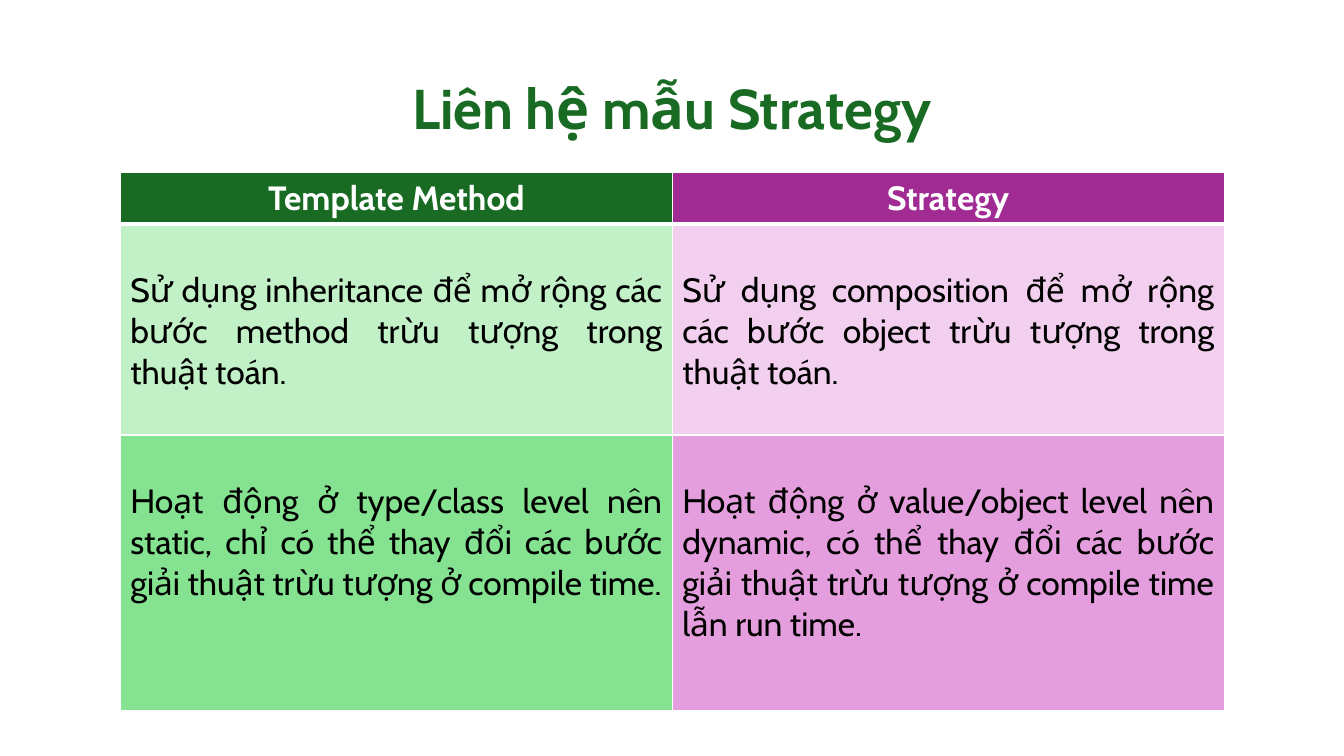
from dataclasses import dataclass

from lxml.etree import SubElement
from pptx import Presentation
from pptx.dml.color import RGBColor as Rgb
from pptx.enum.text import MSO_ANCHOR as Anchor, PP_ALIGN as Align
from pptx.oxml.ns import qn
from pptx.util import Cm, Pt


@dataclass(frozen=True)
class Theme:
    """Colours, font and type sizes of the slide."""
    font: str = "Cabin"
    title_size: int = 40
    table_size: int = 24
    title: str = "196B24"
    light: str = "FFFFFF"
    dark: str = "000000"
    column_fills: tuple = (("196B24", "C2F1C8", "84E291"),
                           ("A02B93", "F2CFEE", "E59EDD"))


COMPARISON = (
    ("Template Method", "Strategy"),
    ("Sử dụng inheritance để mở rộng các bước method trừu tượng trong thuật toán.",
     "Sử dụng composition để mở rộng các bước object trừu tượng trong thuật toán."),
    ("Hoạt động ở type/class level nên static, chỉ có thể thay đổi các bước "
     "giải thuật trừu tượng ở compile time.",
     "Hoạt động ở value/object level nên dynamic, có thể thay đổi các bước "
     "giải thuật trừu tượng ở compile time lẫn run time."),
)
ROW_HEIGHTS = (1.29, 5.32, 6.94)


class SlideBuilder:
    """Draws styled elements on one slide."""

    def __init__(self, slide, theme):
        self.slide = slide
        self.theme = theme

    def set_text(self, frame, text, size, color, bold, align):
        """Set the text of a frame and format it."""
        frame.text = text
        frame.word_wrap = True
        paragraph = frame.paragraphs[0]
        paragraph.alignment = align
        font = paragraph.runs[0].font
        font.name, font.size, font.bold = self.theme.font, Pt(size), bold
        font.color.rgb = Rgb.from_string(color)

    def title(self, text, left, top, width, height):
        """Add the centred heading, resting on the bottom of its box."""
        box = self.slide.shapes.add_textbox(Cm(left), Cm(top), Cm(width), Cm(height))
        frame = box.text_frame
        frame.vertical_anchor = Anchor.BOTTOM
        self.set_text(frame, text, self.theme.title_size, self.theme.title, True, Align.CENTER)

    def borders(self, cell, bottom):
        """Outline a cell, with its own bottom line width in points."""
        properties = cell._tc.get_or_add_tcPr()
        for side, width in (("L", 1), ("R", 1), ("T", 1), ("B", bottom)):
            line = SubElement(properties, qn(f"a:ln{side}"), w=str(Pt(width)))
            fill = SubElement(line, qn("a:solidFill"))
            SubElement(fill, qn("a:srgbClr"), val=self.theme.light)

    def cell(self, cell, text, fill, is_header):
        """Fill, outline and label one table cell."""
        self.borders(cell, 3 if is_header else 1)
        cell.fill.solid()
        cell.fill.fore_color.rgb = Rgb.from_string(fill)
        if not is_header:
            cell.margin_top = Cm(1.17)
        self.set_text(cell.text_frame, text, self.theme.table_size,
                      self.theme.light if is_header else self.theme.dark,
                      is_header, Align.CENTER if is_header else Align.JUSTIFY)

    def table(self, rows, heights, left, top, width):
        """Add a table with equal columns and a header row."""
        frame = self.slide.shapes.add_table(
            len(rows), len(rows[0]), Cm(left), Cm(top), Cm(width), Cm(sum(heights)))
        table = frame.table
        for column in table.columns:
            column.width = Cm(width / len(rows[0]))
        for r, (texts, height) in enumerate(zip(rows, heights)):
            table.rows[r].height = Cm(height)
            for c, text in enumerate(texts):
                self.cell(table.cell(r, c), text, self.theme.column_fills[c][r], r == 0)


def main():
    """Build and save the slide."""
    deck = Presentation()
    deck.slide_width, deck.slide_height = Cm(33.87), Cm(19.05)
    builder = SlideBuilder(deck.slides.add_slide(deck.slide_layouts[6]), Theme())
    builder.title("Liên hệ mẫu Strategy", 7.6, 0, 18.67, 3.68)
    builder.table(COMPARISON, ROW_HEIGHTS, 3.03, 4.35, 27.82)
    deck.save("out.pptx")


if __name__ == "__main__":
    main()
